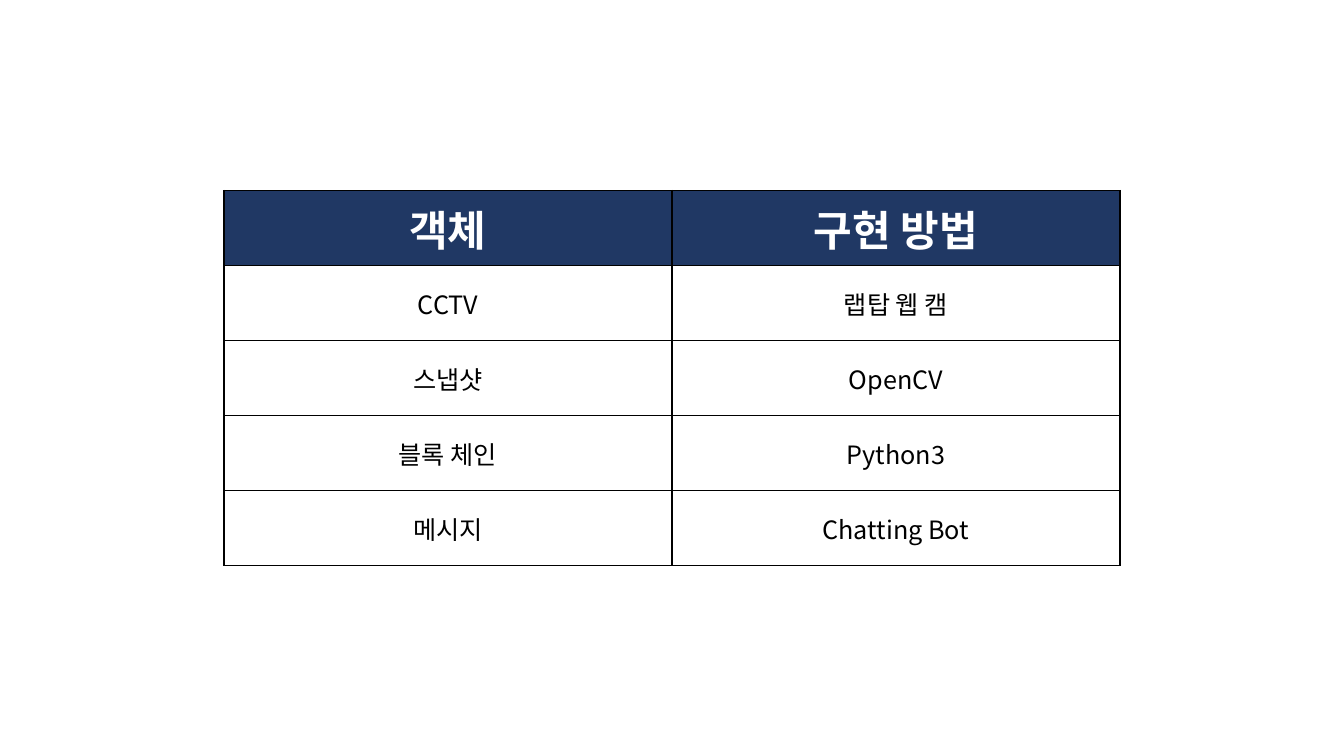
from dataclasses import dataclass

from lxml import etree
from pptx import Presentation
from pptx.dml.color import RGBColor
from pptx.enum.text import MSO_ANCHOR, PP_ALIGN
from pptx.oxml.ns import qn
from pptx.table import _Cell
from pptx.util import Cm, Pt

MIDDLE = MSO_ANCHOR.MIDDLE
CENTER = PP_ALIGN.CENTER
BLANK_LAYOUT = 6
BORDER_SIDES = ("a:lnL", "a:lnR", "a:lnT", "a:lnB")


@dataclass(frozen=True)
class Theme:
    font: str = "Noto Sans CJK KR"
    navy: str = "203864"
    white: str = "FFFFFF"
    black: str = "000000"
    heading_size: int = 30
    body_size: int = 18
    border_width: int = 1


@dataclass(frozen=True)
class Implementation:
    component: str
    method: str


THEME = Theme()
HEADING = Implementation("객체", "구현 방법")
IMPLEMENTATIONS = [
    Implementation("CCTV", "랩탑 웹 캠"),
    Implementation("스냅샷", "OpenCV"),
    Implementation("블록 체인", "Python3"),
    Implementation("메시지", "Chatting Bot"),
]
COLUMN_WIDTH = Cm(11.29)
ROW_HEIGHT = Cm(1.89)
TABLE_TOP = Cm(4.8)


def write_text(cell: _Cell, text: str, *, size: int, color: str, bold: bool) -> None:
    cell.vertical_anchor = MIDDLE
    paragraph = cell.text_frame.paragraphs[0]
    paragraph.alignment = CENTER
    run = paragraph.add_run()
    run.text = text
    run.font.size = Pt(size)
    run.font.bold = bold
    run.font.color.rgb = RGBColor.from_string(color)
    run.font.name = THEME.font
    etree.SubElement(run.font._element, qn("a:ea"), typeface=THEME.font)


def draw_borders(cell: _Cell) -> None:
    properties = cell._tc.get_or_add_tcPr()
    for side in BORDER_SIDES:
        border = etree.SubElement(properties, qn(side), w=str(Pt(THEME.border_width)))
        fill = etree.SubElement(border, qn("a:solidFill"))
        etree.SubElement(fill, qn("a:srgbClr"), val=THEME.black)


def fill_row(cells: list[_Cell], entry: Implementation, *, is_heading: bool) -> None:
    for cell, text in zip(cells, (entry.component, entry.method)):
        draw_borders(cell)
        if is_heading:
            cell.fill.solid()
            cell.fill.fore_color.rgb = RGBColor.from_string(THEME.navy)
            write_text(cell, text, size=THEME.heading_size, color=THEME.white, bold=True)
        else:
            cell.fill.background()
            write_text(cell, text, size=THEME.body_size, color=THEME.black, bold=False)


presentation = Presentation()
presentation.slide_width = Cm(33.87)
presentation.slide_height = Cm(19.05)
slide = presentation.slides.add_slide(presentation.slide_layouts[BLANK_LAYOUT])

entries = [HEADING, *IMPLEMENTATIONS]
table_width = 2 * COLUMN_WIDTH
table_left = (presentation.slide_width - table_width) // 2
methods_table = slide.shapes.add_table(
    len(entries), 2, table_left, TABLE_TOP, table_width, len(entries) * ROW_HEIGHT
).table
methods_table.horz_banding = False

for row, entry in zip(methods_table.rows, entries):
    fill_row(list(row.cells), entry, is_heading=entry is HEADING)

presentation.save("out.pptx")
